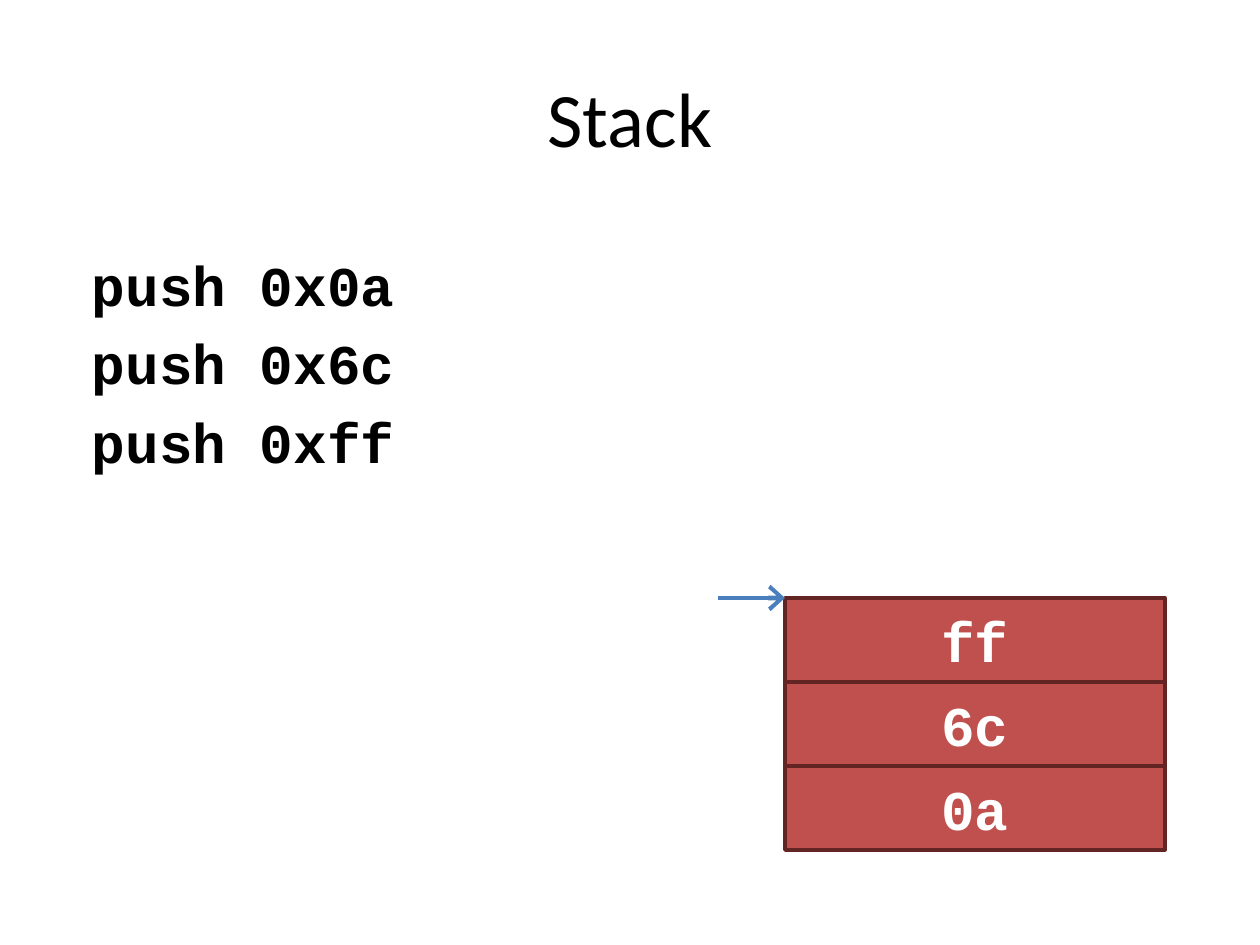
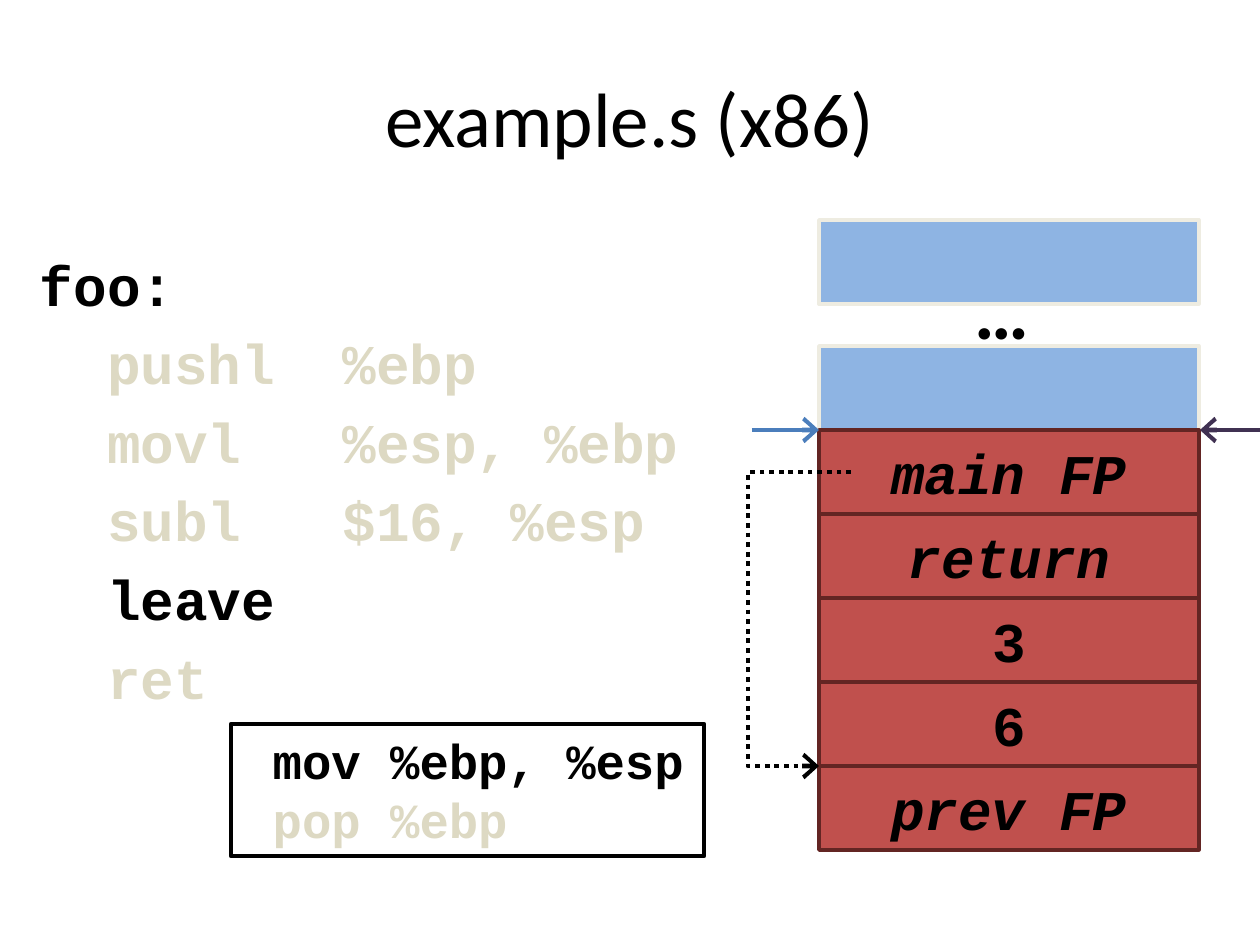
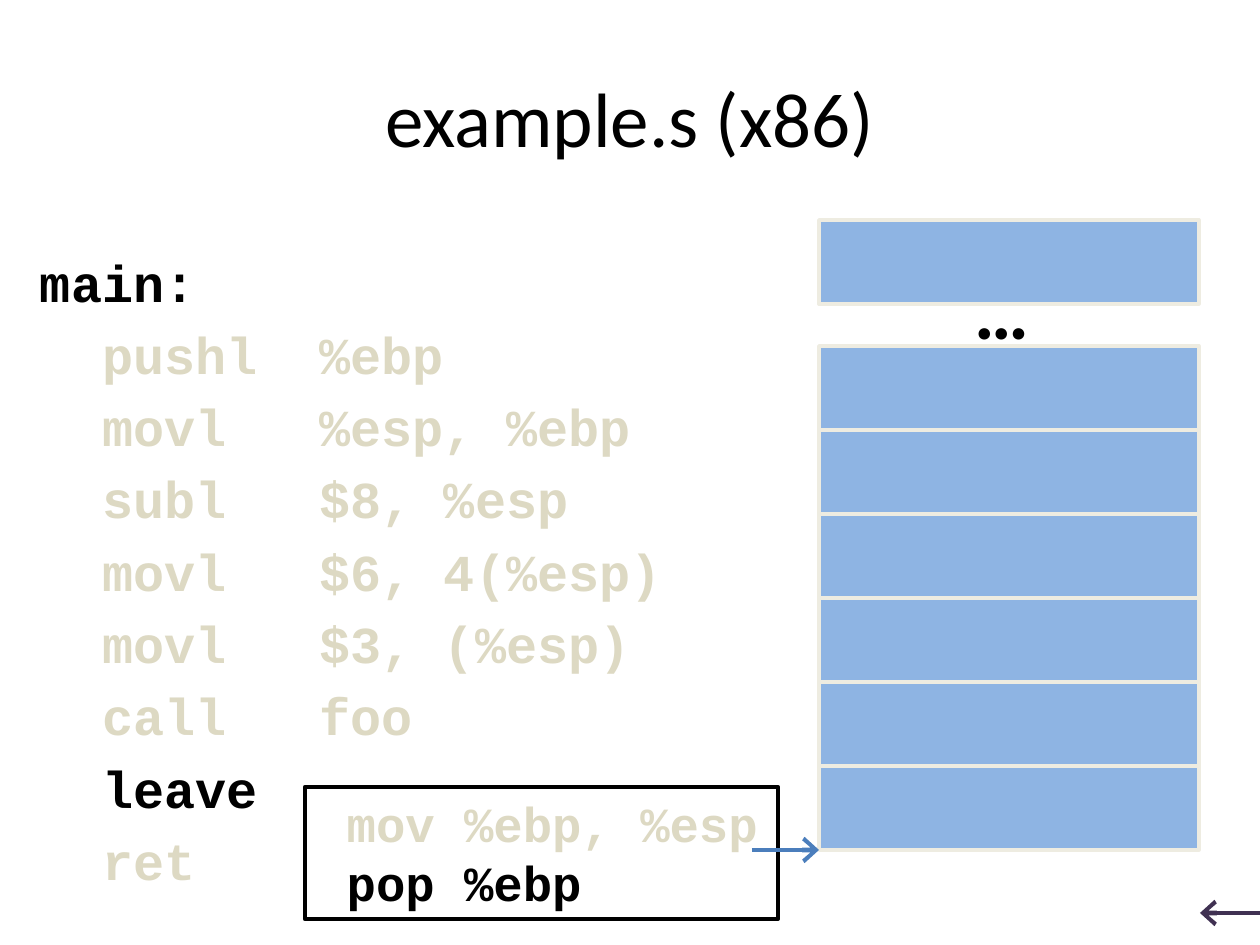
from lxml.etree import SubElement
from pptx import Presentation
from pptx.dml.color import RGBColor
from pptx.enum.dml import MSO_LINE
from pptx.enum.shapes import MSO_CONNECTOR, MSO_SHAPE
from pptx.enum.text import MSO_ANCHOR, PP_ALIGN
from pptx.oxml.ns import qn
from pptx.util import Pt

SCALE = 914400 / 126
CELL_W, CELL_H = 380, 84
COLORS = {
    "black": "000000", "white": "FFFFFF", "faded": "DDD9C3",
    "used": "C0504D", "used_edge": "632523",
    "free": "8EB4E3", "free_edge": "EEECE1",
    "stack_pointer": "4B7EBC", "frame_pointer": "403152",
}
COLORS = {name: RGBColor.from_string(value) for name, value in COLORS.items()}

SLIDES = [
    {
        "title": "Stack", "code_left": 63, "code_width": 577, "size": 32, "gap": 6.5,
        "code": ["push 0x0a", "push 0x6c", "push 0xff"],
        "active": ["push 0x0a", "push 0x6c", "push 0xff"],
        "stack_left": 785, "label_color": "white",
        "cells": [(598, "ff"), (682, "6c"), (766, "0a")],
        "pointers": [(718, 785, 598, "stack_pointer")],
    },
    {
        "title": "example.s (x86)", "code_left": 11, "code_width": 1134, "size": 32, "gap": 6.5,
        "code": ["foo:", "  pushl  %ebp", "  movl   %esp, %ebp", "  subl   $16, %esp",
                 "  leave", "  ret"],
        "active": ["foo:", "  leave", " mov %ebp, %esp"],
        "stack_left": 819, "label_color": "black",
        "cells": [(220, ""), (346, ""), (430, "main FP"), (514, "return"), (598, "3"),
                  (682, "6"), (766, "prev FP")],
        "expansion": (231, 724),
        "saved_frame_link": (851, 472, 819, 766),
        "pointers": [(752, 819, 430, "stack_pointer"), (1260, 1200, 430, "frame_pointer")],
    },
    {
        "title": "example.s (x86)", "code_left": 11, "code_width": 1134, "size": 29.6, "gap": 5.8,
        "code": ["main:", "  pushl  %ebp", "  movl   %esp, %ebp", "  subl   $8, %esp",
                 "  movl   $6, 4(%esp)", "  movl   $3, (%esp)", "  call   foo",
                 "  leave", "  ret"],
        "active": ["main:", "  leave", " pop %ebp"],
        "stack_left": 819, "label_color": "black",
        "cells": [(220, "")] + [(346 + CELL_H * row, "") for row in range(6)],
        "expansion": (305, 787),
        "pointers": [(752, 819, 850, "stack_pointer"), (1260, 1200, 913, "frame_pointer")],
    },
]
EXPANSION = [" mov %ebp, %esp", " pop %ebp"]
ITALIC_LABELS = ["main FP", "return", "prev FP"]


def px(*lengths):
    return [round(length * SCALE) for length in lengths]


def write(frame, lines, size, colors, name="Courier New", bold=True, italic=False,
          align=PP_ALIGN.LEFT, anchor=MSO_ANCHOR.TOP, gap=0):
    frame.word_wrap = True
    frame.vertical_anchor = anchor
    for index, (line, color) in enumerate(zip(lines, colors)):
        paragraph = frame.paragraphs[0] if index == 0 else frame.add_paragraph()
        paragraph.text = line
        paragraph.alignment = align
        if index and gap:
            paragraph.space_before = Pt(gap)
        font = paragraph.font
        font.name, font.size, font.bold, font.italic = name, Pt(size), bold, italic
        font.color.rgb = COLORS[color]


deck = Presentation()
deck.slide_width, deck.slide_height = px(1260, 945)

for content in SLIDES:
    slide = deck.slides.add_slide(deck.slide_layouts[6])
    shapes = slide.shapes
    left = content["stack_left"]

    title = shapes.add_textbox(*px(63, 38, 1134, 158))
    write(title.text_frame, [content["title"]], 44, ["black"], name="Calibri", bold=False,
          align=PP_ALIGN.CENTER, anchor=MSO_ANCHOR.MIDDLE)

    listing = shapes.add_textbox(*px(content["code_left"], 244, content["code_width"], 638))
    listing.text_frame.margin_left = px(29)[0]
    write(listing.text_frame, content["code"], content["size"],
          ["black" if line in content["active"] else "faded" for line in content["code"]],
          gap=content["gap"])

    for top, label in content["cells"]:
        state = "used" if label else "free"
        cell = shapes.add_shape(MSO_SHAPE.RECTANGLE, *px(left, top, CELL_W, CELL_H))
        cell.shadow.inherit = False
        cell.fill.solid()
        cell.fill.fore_color.rgb = COLORS[state]
        cell.line.color.rgb = COLORS[state + "_edge"]
        cell.line.width = Pt(2)
        if label:
            write(cell.text_frame, [label], 32, [content["label_color"]],
                  italic=label in ITALIC_LABELS, align=PP_ALIGN.CENTER,
                  anchor=MSO_ANCHOR.MIDDLE)

    if "expansion" in content:
        ellipsis = shapes.add_textbox(*px(962, 256, 93, 106))
        write(ellipsis.text_frame, ["…"], 44, ["black"], name="Calibri")
        ellipsis.text_frame.word_wrap = False

        expansion = shapes.add_shape(MSO_SHAPE.RECTANGLE, *px(*content["expansion"], 473, 132))
        expansion.shadow.inherit = False
        expansion.fill.background()
        expansion.line.color.rgb = COLORS["black"]
        expansion.line.width = Pt(2.5)
        write(expansion.text_frame, EXPANSION, 28,
              ["black" if line in content["active"] else "faded" for line in EXPANSION])

    arrows = [(MSO_CONNECTOR.STRAIGHT, (start, y, end, y), color)
              for start, end, y, color in content["pointers"]]
    if "saved_frame_link" in content:
        arrows.append((MSO_CONNECTOR.ELBOW, content["saved_frame_link"], "black"))
    for route, ends, color in arrows:
        arrow = shapes.add_connector(route, *px(*ends))
        arrow.line.color.rgb = COLORS[color]
        arrow.line.width = Pt(2.75)
        properties = arrow.element.spPr
        if route == MSO_CONNECTOR.ELBOW:
            arrow.line.dash_style = MSO_LINE.ROUND_DOT
            bend = properties.find(qn("a:prstGeom")).find(qn("a:avLst"))
            SubElement(bend, qn("a:gd"), name="adj1", fmla="val 322000")
        SubElement(properties.find(qn("a:ln")), qn("a:tailEnd"), type="arrow", w="lg")
        SubElement(properties, qn("a:effectLst"))

deck.save("out.pptx")
